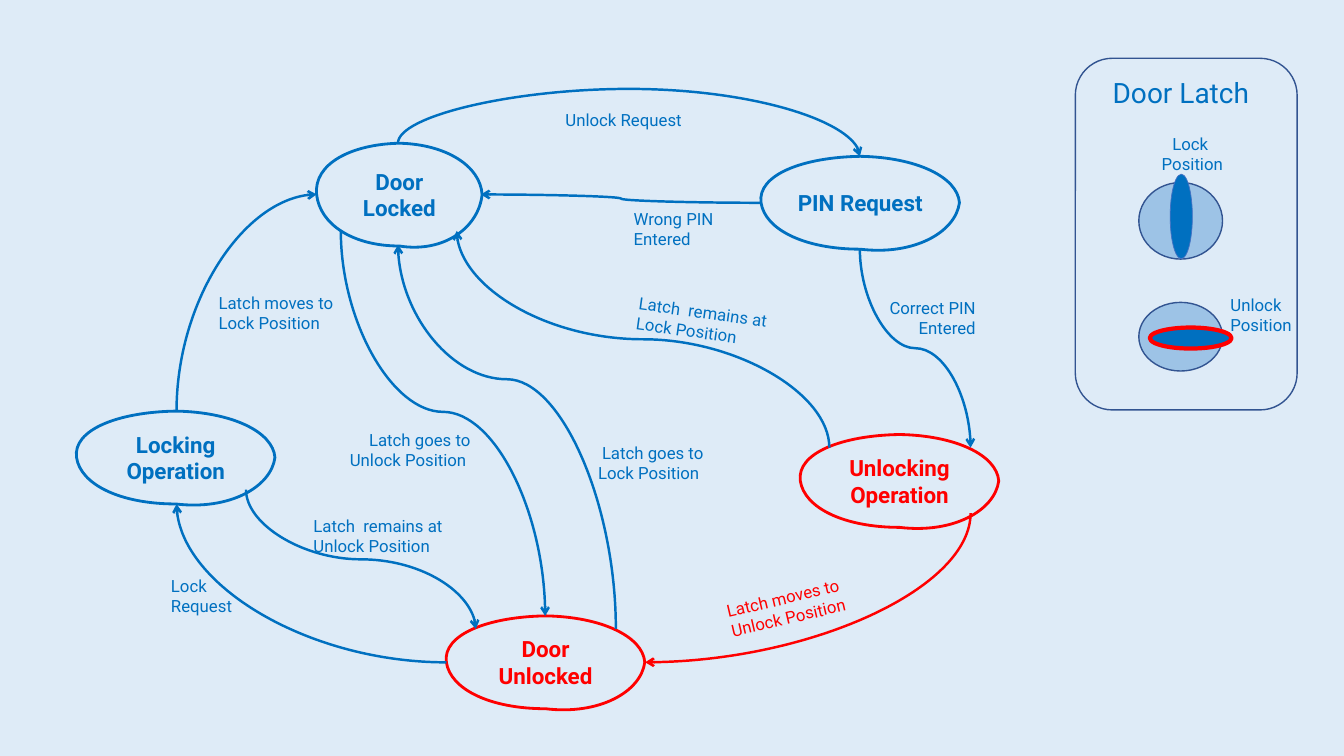
import pptx
import pptx.util
import pptx.dml.color
import pptx.enum.shapes
import pptx.enum.text
import pptx.oxml.ns
import lxml.etree

Cm = pptx.util.Cm
Pt = pptx.util.Pt
qn = pptx.oxml.ns.qn
rgb = pptx.dml.color.RGBColor.from_string
kinds = pptx.enum.shapes.MSO_SHAPE
sides = {"l": pptx.enum.text.PP_ALIGN.LEFT,
         "c": pptx.enum.text.PP_ALIGN.CENTER,
         "r": pptx.enum.text.PP_ALIGN.RIGHT}
BLUE, RED, NAVY, PALE = "0070C0", "FF0000", "325491", "9DC3E6"


def write(shape, text, size=12, color=BLUE, bold=False, align="l", inset=0.13):
    frame = shape.text_frame
    frame.word_wrap = True
    frame.vertical_anchor = pptx.enum.text.MSO_ANCHOR.MIDDLE
    frame.margin_left = frame.margin_right = Cm(0.25)
    frame.margin_top = frame.margin_bottom = Cm(inset)
    frame.text = text
    for para in frame.paragraphs:
        para.alignment = sides[align]
        font = para.font
        for run in para.runs:
            font = run.font
            font.name, font.size, font.bold = "Roboto", Pt(size), bold
            font.color.rgb = rgb(color)


def paint(shape, line, width, fill=None):
    shape.shadow.inherit = False
    shape.line.color.rgb = rgb(line)
    shape.line.width = Pt(width)
    if fill:
        shape.fill.solid()
        shape.fill.fore_color.rgb = rgb(fill)
    else:
        shape.fill.background()


deck = pptx.Presentation()
deck.slide_width, deck.slide_height = Cm(33.87), Cm(19.05)
slide = deck.slides.add_slide(deck.slide_layouts[6])
slide.background.fill.solid()
slide.background.fill.fore_color.rgb = rgb("DEEBF7")

# States: hand-drawn ovals, each side a curve with two control points
states = [
    ("Door\nLocked", 7.98, 3.61, 4.17, 2.59, BLUE),
    ("PIN Request", 19.18, 3.94, 5, 2.34, BLUE),
    ("Door\nUnlocked", 11.25, 15.52, 5, 2.34, RED),
    ("Unlocking Operation", 20.17, 10.95, 5, 2.34, RED),
    ("Locking Operation", 1.93, 10.36, 5, 2.34, BLUE),
]
ends = [(0.5, 0), (1, 0.5), (0.5, 1), (0, 0.5)]
bends = [((-0.02, 0.2), (0.21, 0.01)), ((0.78, 0.01), (0.99, 0.22)),
         ((0.98, 0.82), (0.77, 1.07)), ((0.22, 1), (0.02, 0.79))]
for text, x, y, w, h, color in states:
    pen = slide.shapes.build_freeform(Cm(x), Cm(y + h / 2))
    pen.add_line_segments([(Cm(x + u * w), Cm(y + v * h)) for u, v in ends])
    oval = pen.convert_to_shape()
    for edge, bend in zip(list(oval._element.iter(qn("a:lnTo"))), bends):
        edge.tag = qn("a:cubicBezTo")
        for i, (u, v) in enumerate(bend):
            dot = lxml.etree.Element(qn("a:pt"), x=str(Cm(u * w)), y=str(Cm(v * h)))
            edge.insert(i, dot)
    paint(oval, color, 2)
    write(oval, text, size=16, color=color, bold=True, align="c", inset=0.25)

# Moves: start, end, turn, flips, bend (None for a single curve), colour
moves = [
    (10.03, 3.61, 21.67, 3.94, 270, "h", -4.15, BLUE),
    (24.46, 12.93, 16.26, 16.69, 90, "", None, RED),
    (21.67, 6.27, 24.46, 11.28, 270, "h", 0.5, BLUE),
    (11.25, 16.69, 4.45, 12.7, 180, "", None, BLUE),
    (4.45, 10.36, 7.98, 4.9, 90, "hv", None, BLUE),
    (19.18, 5.11, 12.12, 4.9, 180, "", 0.5, BLUE),
    (20.9, 11.28, 11.51, 5.82, 270, "v", 0.5, BLUE),
    (6.2, 12.34, 11.99, 15.85, 270, "h", 0.5, BLUE),
    (8.59, 5.82, 13.74, 15.52, 270, "h", 0.47, BLUE),
    (15.52, 15.85, 10.03, 6.17, 270, "v", 0.65, BLUE),
]
for x1, y1, x2, y2, turn, flips, bend, color in moves:
    # Box before the turn, around the same centre
    w, h = abs(x2 - x1) / 2, abs(y2 - y1) / 2
    if turn != 180:
        w, h = h, w
    if "h" in flips:
        w = -w
    if "v" in flips:
        h = -h
    midx, midy = (x1 + x2) / 2, (y1 + y2) / 2
    arrow = slide.shapes.add_connector(
        pptx.enum.shapes.MSO_CONNECTOR.CURVE,
        Cm(midx - w), Cm(midy - h), Cm(midx + w), Cm(midy + h))
    arrow.line.color.rgb = rgb(color)
    arrow.line.width = Pt(1.75)
    props = arrow._element.spPr
    props.find(qn("a:xfrm")).set("rot", str(turn * 60000))
    geom = props.find(qn("a:prstGeom"))
    if bend is None:
        geom.set("prst", "curvedConnector2")
    else:
        lxml.etree.SubElement(geom.find(qn("a:avLst")), qn("a:gd"),
                              name="adj1", fmla=f"val {round(bend * 100000)}")
    lxml.etree.SubElement(props.find(qn("a:ln")), qn("a:tailEnd"), type="arrow")
    lxml.etree.SubElement(props, qn("a:effectLst"))

# Labels on the moves
labels = [
    ("Unlock Request", 14, 2.69, 3.61, 0.66, "l", 0, BLUE),
    ("Correct PIN Entered", 20.9, 7.34, 3.94, 1.32, "r", 0, BLUE),
    ("Wrong PIN Entered", 15.72, 5.51, 3.78, 0.53, "l", 0, BLUE),
    ("Latch moves to Lock Position", 5.26, 7.37, 3.58, 1.04, "l", 0, BLUE),
    ("Lock\nRequest", 4.06, 14.68, 3.61, 0.66, "l", 0, BLUE),
    ("Latch goes to Unlock Position ", 8.53, 10.82, 3.58, 1.04, "r", 0, BLUE),
    ("Latch  remains at\nLock Position", 15.8, 7.59, 5.05, 1.22, "l", 7.9, BLUE),
    ("Latch moves to Unlock Position", 18.08, 14.68, 4.17, 1.09, "l", 346.9, RED),
    ("Latch  remains at\nUnlock Position", 7.65, 12.9, 4.72, 1.22, "l", 0, BLUE),
    ("Latch goes to Lock Position ", 14.4, 11.15, 3.58, 1.04, "r", 0, BLUE),
]
for text, x, y, w, h, align, turn, color in labels:
    label = slide.shapes.add_textbox(Cm(x), Cm(y), Cm(w), Cm(h))
    label.rotation = turn
    write(label, text, align=align, color=color)

# Door latch panel: knobs, latches and frame
panel = slide.shapes.add_group_shape().shapes
parts = [
    (kinds.OVAL, 28.7, 4.6, 2.11, 1.93, 0, NAVY, 1, PALE),
    (kinds.ARC, 29.49, 4.39, 0.56, 2.13, 0, "4472C4", 0.5, BLUE),
    (kinds.OVAL, 28.7, 7.62, 2.11, 1.73, 0, NAVY, 1, PALE),
    (kinds.ARC, 29.74, 7.49, 0.53, 2.06, 90, RED, 3, BLUE),
    (kinds.ROUNDED_RECTANGLE, 27.1, 1.47, 5.59, 8.86, 0, NAVY, 1, None),
]
for kind, x, y, w, h, turn, line, width, fill in parts:
    part = panel.add_shape(kind, Cm(x), Cm(y), Cm(w), Cm(h))
    part.rotation = turn
    paint(part, line, width, fill)
    if kind == kinds.ARC:
        # Nearly a full round, in 60000ths of a degree
        part.adjustments[0], part.adjustments[1] = 97.2, 97.01

# Panel text
notes = [
    ("Door Latch", 27.79, 1.93, 4.9, 0.79, "l", 20),
    ("Lock \nPosition", 28.88, 3.61, 2.34, 0.53, "c", 12),
    ("Unlock\nPosition", 30.76, 7.72, 2.11, 0.43, "l", 12),
]
for text, x, y, w, h, align, size in notes:
    note = panel.add_textbox(Cm(x), Cm(y), Cm(w), Cm(h))
    write(note, text, align=align, size=size)

deck.save("out.pptx")
